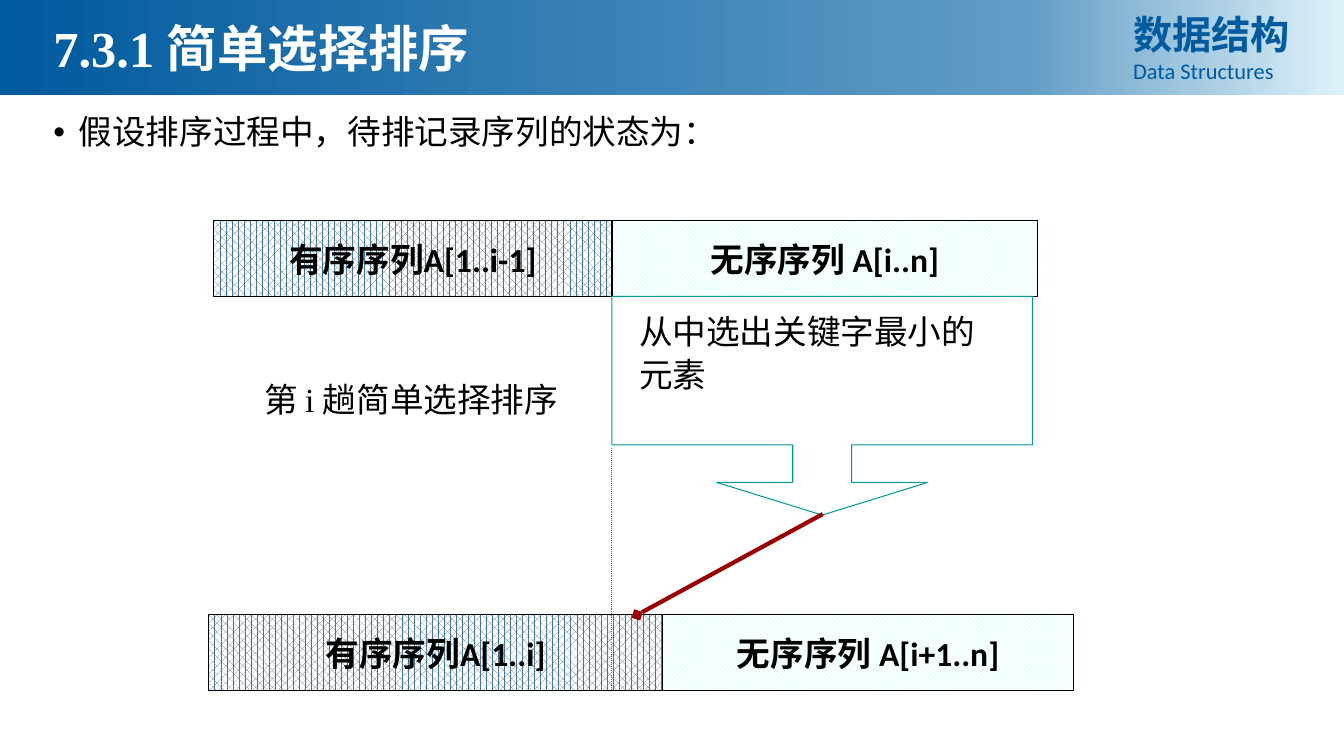
from copy import deepcopy

from lxml import etree
from pptx import Presentation
from pptx.dml.color import RGBColor
from pptx.enum.dml import MSO_LINE, MSO_PATTERN
from pptx.enum.shapes import MSO_CONNECTOR, MSO_SHAPE
from pptx.enum.text import MSO_ANCHOR, MSO_AUTO_SIZE, PP_ALIGN
from pptx.oxml.ns import qn
from pptx.util import Inches, Pt

LEFT, CENTER, JUSTIFY = PP_ALIGN.LEFT, PP_ALIGN.CENTER, PP_ALIGN.JUSTIFY
SORTED_PATTERN, UNSORTED_PATTERN = MSO_PATTERN.PERCENT_60, MSO_PATTERN.TRELLIS
CHINESE_FONT = "Noto Sans CJK SC"
BLACK, WHITE, BLUE, TEAL, RED = "000000", "FFFFFF", "005A9E", "009999", "990000"


def color(value):
    return RGBColor.from_string(value)


def write(paragraph, text, alignment, **font_values):
    """Fill a paragraph with one run; Chinese characters use CHINESE_FONT."""
    paragraph.alignment = alignment
    run = paragraph.add_run()
    run.text = text
    run.font.color.rgb = color(font_values.pop("color", BLACK))
    for name, value in font_values.items():
        setattr(run.font, name, value)
    east_asian = etree.SubElement(run.font._element, qn("a:ea"))
    east_asian.set("typeface", CHINESE_FONT)


presentation = Presentation()
presentation.slide_width = Inches(13.33)
presentation.slide_height = Inches(7.5)
slide = presentation.slides.add_slide(presentation.slide_layouts[1])
shapes = slide.shapes

# Banner, placed behind the title
banner = shapes.add_shape(MSO_SHAPE.RECTANGLE, 0, 0, Inches(13.33), Inches(0.94))
banner.shadow.inherit = False
banner.line.fill.background()
banner.fill.gradient()
banner.fill.gradient_angle = 0
stop_list = banner._element.spPr.find(qn("a:gradFill")).find(qn("a:gsLst"))
stop_list.append(deepcopy(stop_list[-1]))
banner_stops = [(0, BLUE), (0.76, "609CC5"), (1, "DEF1F9")]
for stop, (position, value) in zip(banner.fill.gradient_stops, banner_stops):
    stop.position = position
    stop.color.rgb = color(value)
shapes._spTree.insert(2, banner._element)

# Title and bullet
title, body = slide.placeholders
placeholder_boxes = [(title, 0.12, 5.64, 0.71), (body, 1.1, 7.11, 0.67)]
for placeholder, top, width, height in placeholder_boxes:
    placeholder.left, placeholder.top = Inches(0.43), Inches(top)
    placeholder.width, placeholder.height = Inches(width), Inches(height)
    placeholder.text_frame.auto_size = MSO_AUTO_SIZE.NONE
    placeholder.text_frame.vertical_anchor = MSO_ANCHOR.TOP
write(title.text_frame.paragraphs[0], "7.3.1 简单选择排序", LEFT,
      size=Pt(36), name="Times New Roman", bold=True, color=WHITE)

bullet = body.text_frame.paragraphs[0]
bullet.line_spacing = 0.9
bullet.space_before = Pt(0)
bullet_properties = bullet._p.get_or_add_pPr()
bullet_properties.set("marL", str(Inches(0.25)))
bullet_properties.set("indent", str(Inches(-0.25)))
etree.SubElement(bullet_properties, qn("a:buChar")).set("char", "•")
write(bullet, "假设排序过程中，待排记录序列的状态为：", LEFT,
      size=Pt(24), name=CHINESE_FONT)

# Course name
course_box = shapes.add_textbox(Inches(11.14), Inches(0.05), Inches(1.91), Inches(0.84))
course_frame = course_box.text_frame
course_frame.word_wrap = True
write(course_frame.paragraphs[0], "数据结构", JUSTIFY,
      size=Pt(28), name=CHINESE_FONT, bold=True, color=BLUE)
write(course_frame.add_paragraph(), "Data Structures", JUSTIFY,
      size=Pt(16), name="Calibri", color=BLUE)

# Sequence before and after pass i
sequences = [
    (2.12, 2.19, 3.95, SORTED_PATTERN, "49738F", "有序序列A[1..i-1]"),
    (6.07, 2.19, 4.22, UNSORTED_PATTERN, "CCFFFF", "无序序列 A[i..n]"),
    (2.07, 6.1, 4.5, SORTED_PATTERN, "49738F", "有序序列A[1..i]"),
    (6.57, 6.1, 4.08, UNSORTED_PATTERN, "CCFFFF", "无序序列 A[i+1..n]"),
]
for left, top, width, pattern, foreground, text in sequences:
    part = shapes.add_shape(MSO_SHAPE.RECTANGLE, Inches(left), Inches(top),
                            Inches(width), Inches(0.75))
    part.shadow.inherit = False
    part.fill.patterned()
    part.fill.pattern = pattern
    part.fill.fore_color.rgb = color(foreground)
    part.fill.back_color.rgb = color(WHITE)
    part.line.color.rgb = color(BLACK)
    part.line.width = Pt(0.75)
    part.text_frame.word_wrap = False
    part.text_frame.vertical_anchor = MSO_ANCHOR.MIDDLE
    write(part.text_frame.paragraphs[0], text, CENTER,
          size=Pt(24), name="Calibri", bold=True)

# Selection step
callout = shapes.add_shape(MSO_SHAPE.DOWN_ARROW_CALLOUT, Inches(6.07), Inches(2.94),
                           Inches(4.17), Inches(2.17))
callout.shadow.inherit = False
callout.fill.background()
callout.line.color.rgb = color(TEAL)
callout.line.width = Pt(0.75)
for index, adjustment in enumerate([0.269, 0.482, 0.149, 0.679]):
    callout.adjustments[index] = adjustment

notes = [
    (2.52, 3.69, 3.39, 0.49, "第 i 趟简单选择排序"),
    (6.24, 3.02, 3.83, 0.95, "从中选出关键字最小的元素"),
]
for left, top, width, height, text in notes:
    note = shapes.add_textbox(Inches(left), Inches(top), Inches(width), Inches(height))
    note.text_frame.word_wrap = True
    paragraph = note.text_frame.paragraphs[0]
    paragraph.line_spacing = 1.05
    write(paragraph, text, LEFT, size=Pt(24), name="Times New Roman")

connectors = []
for x1, y1, x2, y2, value, width in [(8.16, 5.1, 6.32, 6.1, RED, 3),
                                     (6.07, 4.44, 6.07, 6.85, TEAL, 0.75)]:
    connector = shapes.add_connector(MSO_CONNECTOR.STRAIGHT, Inches(x1), Inches(y1),
                                     Inches(x2), Inches(y2))
    connector.line.color.rgb = color(value)
    connector.line.width = Pt(width)
    etree.SubElement(connector._element.spPr, qn("a:effectLst"))
    connectors.append(connector)
insert_arrow, boundary = connectors
etree.SubElement(insert_arrow.line._ln, qn("a:tailEnd")).set("type", "diamond")
boundary.line.dash_style = MSO_LINE.ROUND_DOT

presentation.save("out.pptx")
